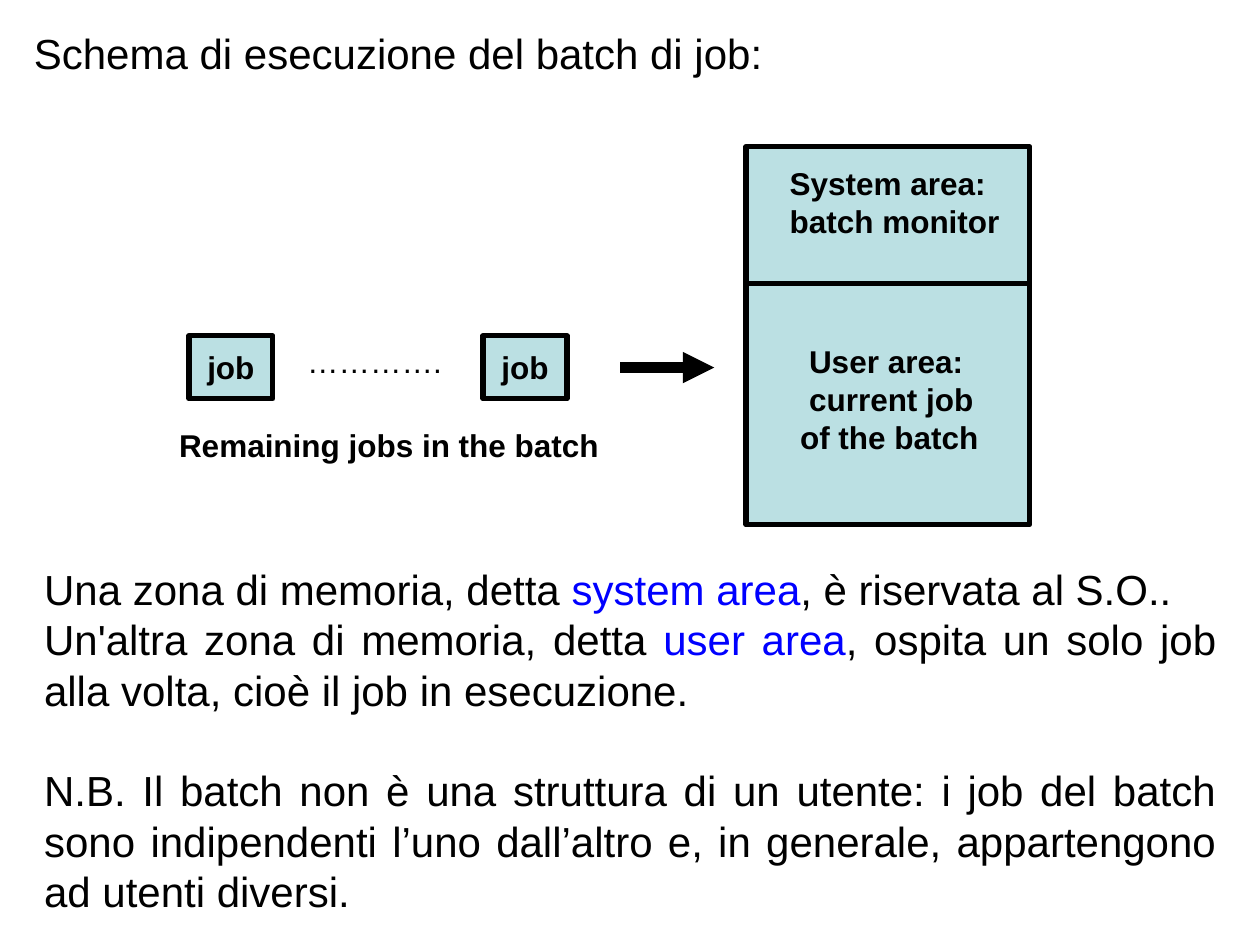
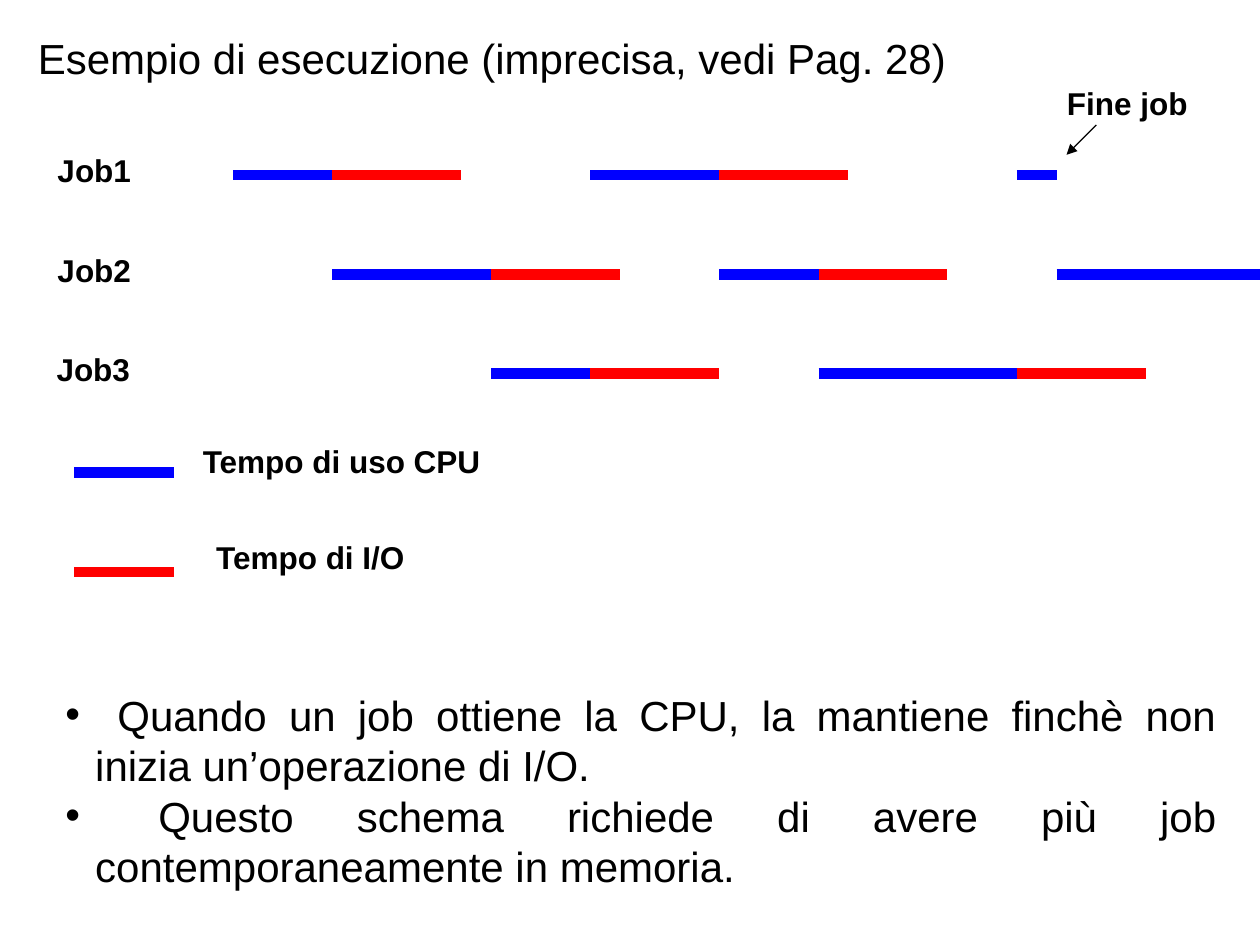
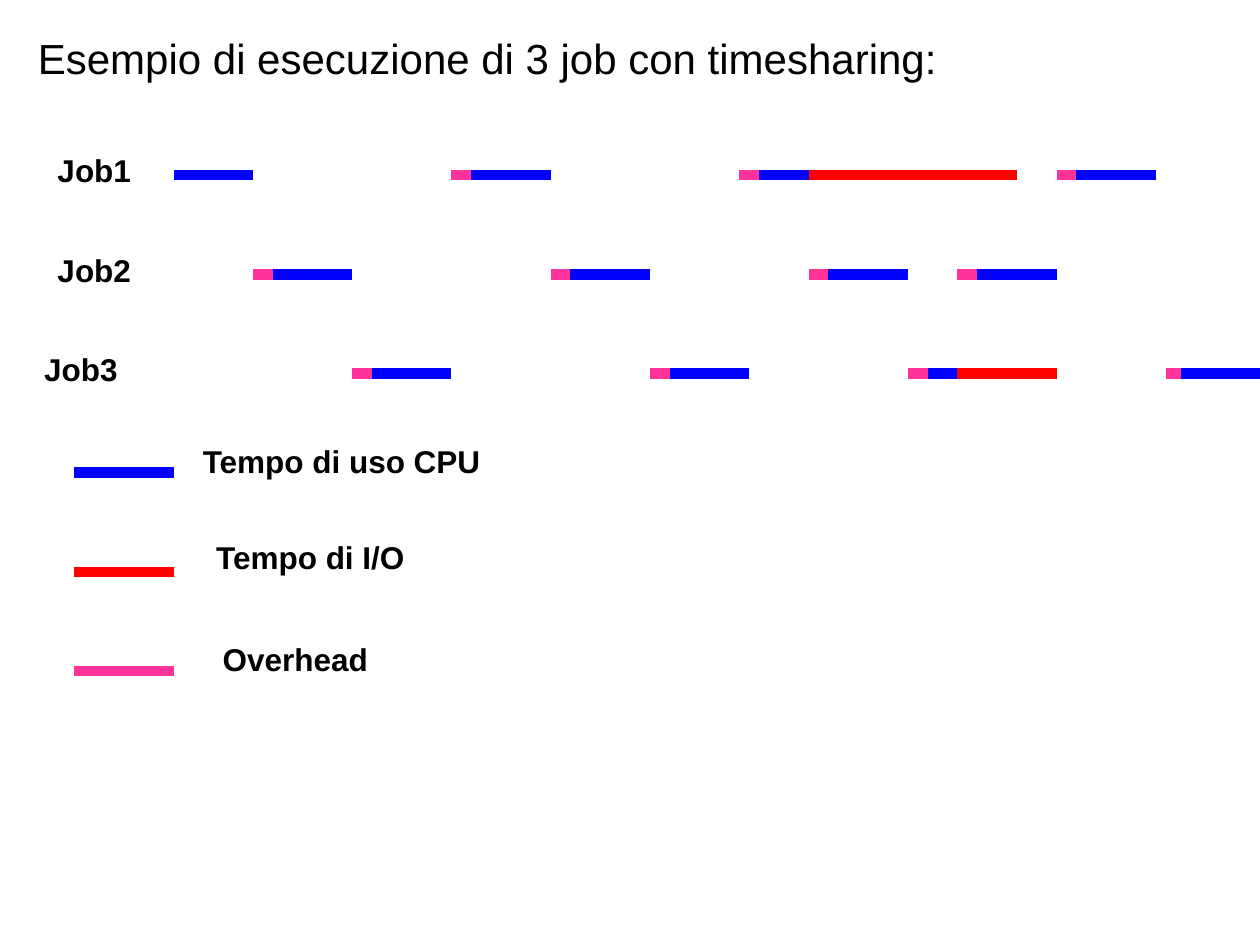
from lxml.etree import SubElement
from pptx import Presentation
from pptx.dml.color import RGBColor as RGB
from pptx.enum.shapes import MSO_CONNECTOR as Connector, MSO_SHAPE as Shape
from pptx.enum.text import MSO_ANCHOR as Anchor, MSO_AUTO_SIZE as AutoSize, PP_ALIGN as Align
from pptx.oxml.ns import qn
from pptx.util import Cm, Pt

COLORS = {"text": "000000", "area": "BBE0E3", "cpu": "0000FF", "io": "FF0000", "overhead": "FF3399"}
FONT = "Arial"


def write(shape, text, size=18, bold=True, align=Align.LEFT, anchor=Anchor.TOP, terms=()):
    frame = shape.text_frame
    frame.text = text
    frame.word_wrap = True
    frame.auto_size = AutoSize.NONE
    frame.vertical_anchor = anchor
    for paragraph in frame.paragraphs:
        paragraph.alignment = align
        paragraph.line_spacing = Pt(size * 1.2)
        for term in terms:
            if term in paragraph.text:
                before, after = paragraph.text.split(term)
                paragraph.text = before
                paragraph.add_run().text = term
                paragraph.add_run().text = after
        for run in paragraph.runs:
            run.font.name = FONT
            run.font.size = Pt(size)
            run.font.bold = bold
            color = "cpu" if run.text in terms else "text"
            run.font.color.rgb = RGB.from_string(COLORS[color])
    return frame


def draw_line(slide, start, end, color="text", width=6, arrow=False):
    x1, y1, x2, y2 = (Cm(value) for value in (*start, *end))
    line = slide.shapes.add_connector(Connector.STRAIGHT, x1, y1, x2, y2)
    line.line.color.rgb = RGB.from_string(COLORS[color])
    line.line.width = Pt(width)
    if arrow:
        SubElement(line.line._get_or_add_ln(), qn("a:tailEnd"), type="triangle")
    SubElement(line._element.spPr, qn("a:effectLst"))


prs = Presentation()
prs.slide_width, prs.slide_height = Cm(25.4), Cm(19.05)

titles = [
    ("Schema di esecuzione del batch di job:", 0.43, 0.43),
    ("Esempio di esecuzione (imprecisa, vedi Pag. 28)", 0.51, 0.53),
    ("Esempio di esecuzione di 3 job con timesharing:", 0.51, 0.53),
]
for heading, left, top in titles:
    slide = prs.slides.add_slide(prs.slide_layouts[5])
    title = slide.shapes.title
    title.left, title.top, title.width, title.height = Cm(left), Cm(top), Cm(24.4), Cm(1.27)
    write(title, heading, 24, False)
batch_slide, multi_slide, sharing_slide = prs.slides

boxes = [
    ("job", 3.81, 6.77, 1.69, 1.27),
    ("job", 9.74, 6.77, 1.69, 1.27),
    ("", 15.04, 2.96, 5.72, 7.62),
]
for label, left, top, width, height in boxes:
    box = batch_slide.shapes.add_shape(Shape.RECTANGLE, Cm(left), Cm(top), Cm(width), Cm(height))
    box.shadow.inherit = False
    box.fill.solid()
    box.fill.fore_color.rgb = RGB.from_string(COLORS["area"])
    box.line.color.rgb = RGB.from_string(COLORS["text"])
    box.line.width = Pt(3)
    if label:
        write(box, label, align=Align.CENTER, anchor=Anchor.MIDDLE)

draw_line(batch_slide, (15.04, 5.72), (20.76, 5.72), width=3)
draw_line(batch_slide, (12.5, 7.41), (14.4, 7.41), arrow=True)

captions = [
    ("………….", 5.94, 6.77, 3.5, 1.02, False),
    ("System area:\nbatch monitor", 15.67, 3.18, 5, 2.2, True),
    ("Remaining jobs in the batch", 3.36, 8.47, 9.3, 1.02, True),
]
for caption, left, top, width, height, bold in captions:
    write(batch_slide.shapes.add_textbox(Cm(left), Cm(top), Cm(width), Cm(height)), caption, bold=bold)

user_area = batch_slide.shapes.add_textbox(Cm(15.88), Cm(6.77), Cm(4.5), Cm(2.54))
user_lines = write(user_area, "User area:\ncurrent job\nof the batch").paragraphs
for paragraph in user_lines[:2]:
    paragraph._p.get_or_add_pPr().set("marL", str(Cm(0.18)))

memory_notes = write(
    batch_slide.shapes.add_textbox(Cm(0.64), Cm(11.23), Cm(24.13), Cm(7.37)),
    "Una zona di memoria, detta system area, è riservata al S.O..\n"
    "Un'altra zona di memoria, detta user area, ospita un solo job alla volta, "
    "cioè il job in esecuzione.\n"
    "N.B. Il batch non è una struttura di un utente: i job del batch sono indipendenti "
    "l’uno dall’altro e, in generale, appartengono ad utenti diversi.",
    24, False, Align.JUSTIFY, terms=("system area", "user area"))
memory_notes.paragraphs[2].space_before = Pt(28.8)

FIRST_ROW, ROW_STEP = 3.53, 2
LEGEND = [
    ("cpu", "Tempo di uso CPU", 3.84, 8.79),
    ("io", "Tempo di I/O", 4.11, 10.72),
    ("overhead", "Overhead", 4.24, 12.78),
]
multi_jobs = [
    [(4.7, [("cpu", 2), ("io", 2.6)]),
     (11.9, [("cpu", 2), ("cpu", 0.6), ("io", 2.6)]),
     (20.5, [("cpu", 0.8)])],
    [(6.7, [("cpu", 2), ("cpu", 1.2), ("io", 2.6)]),
     (14.5, [("cpu", 2), ("io", 2.6)]),
     (21.3, [("cpu", 4.1)])],
    [(9.9, [("cpu", 2), ("io", 2.6)]),
     (16.5, [("cpu", 2), ("cpu", 2), ("io", 2.6)])],
]
time_slice = [("overhead", 0.4), ("cpu", 1.6)]
sharing_jobs = [
    [(3.5, [("cpu", 1.6)]), (9.1, time_slice),
     (14.9, [("overhead", 0.4), ("cpu", 1), ("io", 4.2)]), (21.3, time_slice)],
    [(start, time_slice) for start in (5.1, 11.1, 16.3, 19.3)],
    [(7.1, time_slice), (13.1, time_slice),
     (18.3, [("overhead", 0.4), ("cpu", 0.6), ("io", 2)]),
     (23.5, [("overhead", 0.3), ("cpu", 1.6)])],
]
schedules = [
    (multi_slide, multi_jobs, LEGEND[:2], (0.91, 0.91, 0.89)),
    (sharing_slide, sharing_jobs, LEGEND, (0.91, 0.91, 0.64)),
]
for slide, jobs, legend, label_lefts in schedules:
    for row, (bursts, label_left) in enumerate(zip(jobs, label_lefts)):
        y = FIRST_ROW + row * ROW_STEP
        label = slide.shapes.add_textbox(Cm(label_left), Cm(y - 0.6), Cm(2.4), Cm(1.02))
        write(label, f"Job{row + 1}")
        for x, phases in bursts:
            for kind, duration in phases:
                draw_line(slide, (x, y), (x + duration, y), kind)
                x += duration
    for row, (kind, meaning, left, top) in enumerate(legend, start=len(jobs)):
        y = FIRST_ROW + row * ROW_STEP
        draw_line(slide, (1.5, y), (3.5, y), kind)
        write(slide.shapes.add_textbox(Cm(left), Cm(top), Cm(6.5), Cm(1.02)), meaning)

write(multi_slide.shapes.add_textbox(Cm(21.26), Cm(1.57), Cm(3.2), Cm(1.02)), "Fine job")
draw_line(multi_slide, (22.1, 2.52), (21.5, 3.12), width=0.75, arrow=True)

cpu_rules = write(
    multi_slide.shapes.add_textbox(Cm(1.07), Cm(13.77), Cm(23.7), Cm(4.32)),
    " Quando un job ottiene la CPU, la mantiene finchè non inizia un’operazione di I/O.\n"
    " Questo schema richiede di avere più job contemporaneamente in memoria.",
    24, False, Align.JUSTIFY)
for paragraph in cpu_rules.paragraphs:
    properties = paragraph._p.get_or_add_pPr()
    properties.set("marL", str(Cm(0.6)))
    properties.set("indent", str(-Cm(0.6)))
    SubElement(properties, qn("a:buFont"), typeface=FONT)
    SubElement(properties, qn("a:buChar"), char="•")

prs.save("out.pptx")
